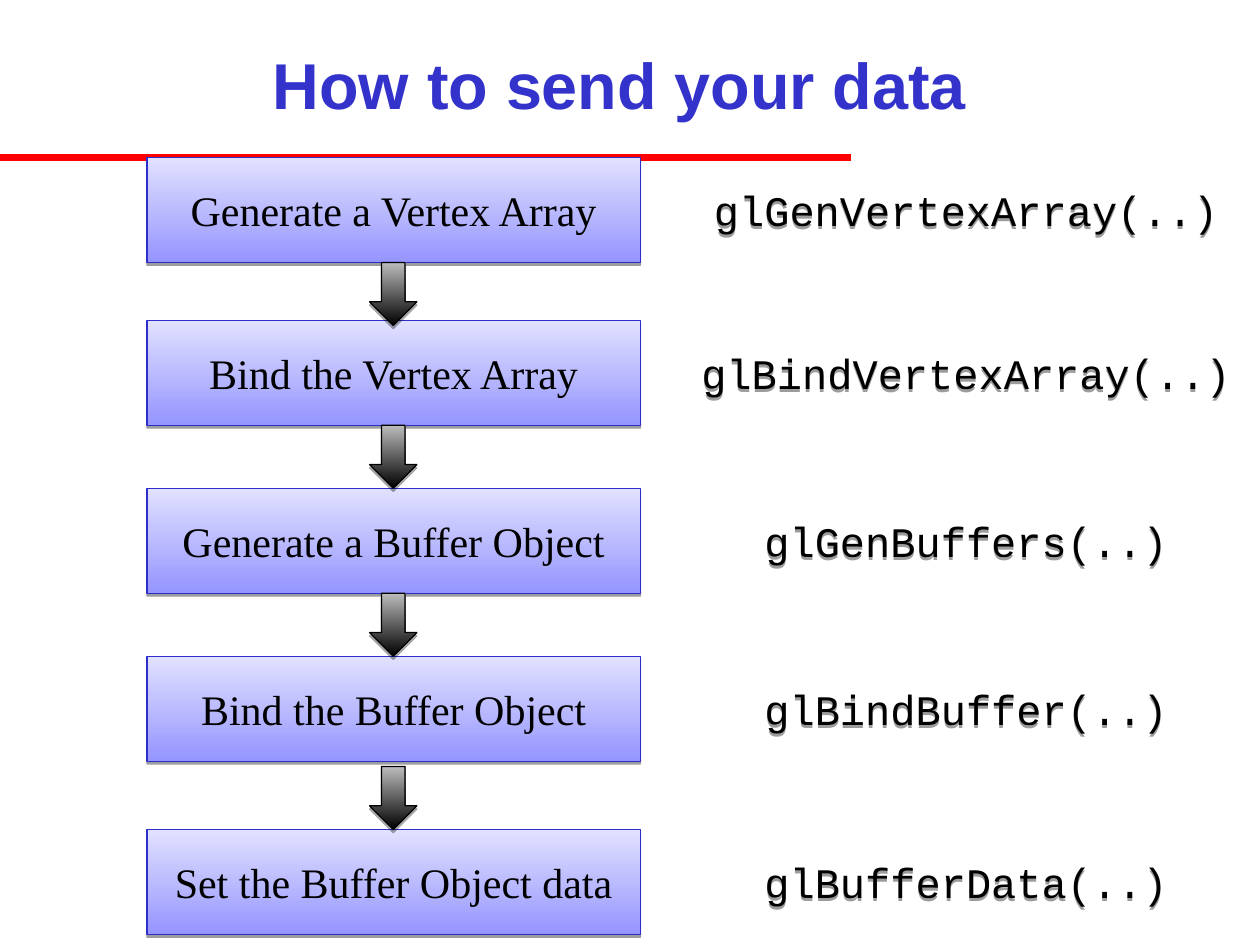
from dataclasses import dataclass

from lxml.etree import SubElement
from pptx import Presentation
from pptx.dml.color import RGBColor
from pptx.enum.shapes import MSO_CONNECTOR as CONN, MSO_SHAPE as SHAPE
from pptx.enum.text import MSO_ANCHOR as ANCHOR, PP_ALIGN as ALIGN
from pptx.oxml.ns import qn
from pptx.util import Pt

PX = 7620  # EMU: 120 px to the inch


@dataclass(frozen=True)
class Theme:
    title: str = "3333CC"
    rule: str = "FF0000"
    text: str = "000000"
    box_line: str = "2E2ECB"
    box_fill: tuple = ("9595FF", "E1E1FF")  # bottom, top
    arrow_line: str = "000000"
    arrow_fill: tuple = ("000000", "BCBCBC")
    title_font: str = "Arial"
    step_font: str = "Times New Roman"
    code_font: str = "Courier New"
    title_size: int = 37
    body_size: int = 24
    rule_width: int = 4
    outline: float = 0.75


T = Theme()

BOX_X, BOX_W, BOX_H = 140, 470, 100
CODE_X, CODE_W = 650, 540
ARROW_W, ARROW_H = 45, 60
STEPS = [
    (150, "Generate a Vertex Array", "glGenVertexArray(..)"),
    (305, "Bind the Vertex Array", "glBindVertexArray(..)"),
    (465, "Generate a Buffer Object", "glGenBuffers(..)"),
    (625, "Bind the Buffer Object", "glBindBuffer(..)"),
    (790, "Set the Buffer Object data", "glBufferData(..)"),
]


def rgb(value):
    return RGBColor.from_string(value)


def px(*values):
    return [v * PX for v in values]


def set_text(s, text, font, size, color, bold=False):
    tf = s.text_frame
    tf.word_wrap = True
    tf.vertical_anchor = ANCHOR.MIDDLE
    tf.text = text
    p = tf.paragraphs[0]
    p.alignment = ALIGN.CENTER
    f = p.runs[0].font
    f.name, f.size, f.bold = font, Pt(size), bold
    f.color.rgb = rgb(color)


def add_shadow(s, opacity, distance):
    """Drop a hard black shadow straight down, distance in points."""
    s.shadow.inherit = False
    effects = s._element.spPr.find(qn("a:effectLst"))
    shadow = SubElement(effects, qn("a:outerShdw"), blurRad="0",
                        dist=str(Pt(distance)), dir="5400000",
                        rotWithShape="0")
    color = SubElement(shadow, qn("a:srgbClr"), val="000000")
    SubElement(color, qn("a:alpha"), val=str(opacity * 1000))


def add_gradient_shape(slide, kind, box, colors, line):
    s = slide.shapes.add_shape(kind, *px(*box))
    s.fill.gradient()
    s.fill.gradient_angle = 90
    for stop, color in zip(s.fill.gradient_stops, colors):
        stop.color.rgb = rgb(color)
    s.line.color.rgb = rgb(line)
    s.line.width = Pt(T.outline)
    return s


def add_rule(slide):
    c = slide.shapes.add_connector(CONN.STRAIGHT, *px(0, 150, 810, 150))
    c.line.color.rgb = rgb(T.rule)
    c.line.width = Pt(T.rule_width)
    SubElement(c._element.spPr, qn("a:effectLst"))


def add_title(slide, text):
    s = slide.shapes.add_textbox(*px(180, 10, 820, 140))
    set_text(s, text, T.title_font, T.title_size, T.title, bold=True)


def add_step(slide, top, text):
    s = add_gradient_shape(slide, SHAPE.RECTANGLE, (BOX_X, top, BOX_W, BOX_H),
                           T.box_fill, T.box_line)
    add_shadow(s, 38, 1.6)
    set_text(s, text, T.step_font, T.body_size, T.text)


def add_arrow(slide, top, next_top):
    """Point at the next step without covering the step above."""
    x = BOX_X + (BOX_W - ARROW_W) // 2
    y = max(top + BOX_H, next_top - ARROW_H)
    s = add_gradient_shape(slide, SHAPE.DOWN_ARROW, (x, y, ARROW_W, ARROW_H),
                           T.arrow_fill, T.arrow_line)
    add_shadow(s, 35, 1.8)


def add_call(slide, top, code):
    s = slide.shapes.add_textbox(*px(CODE_X, top, CODE_W, BOX_H))
    add_shadow(s, 38, 1.6)
    set_text(s, code, T.code_font, T.body_size, T.text)


def main():
    prs = Presentation()
    prs.slide_width, prs.slide_height = px(1200, 900)
    slide = prs.slides.add_slide(prs.slide_layouts[6])
    add_rule(slide)
    add_title(slide, "How to send your data")
    for top, step, _ in STEPS:
        add_step(slide, top, step)
    for (top, *_), (next_top, *_) in zip(STEPS, STEPS[1:]):
        add_arrow(slide, top, next_top)
    for top, _, code in STEPS:
        add_call(slide, top, code)
    prs.save("out.pptx")


if __name__ == "__main__":
    main()
